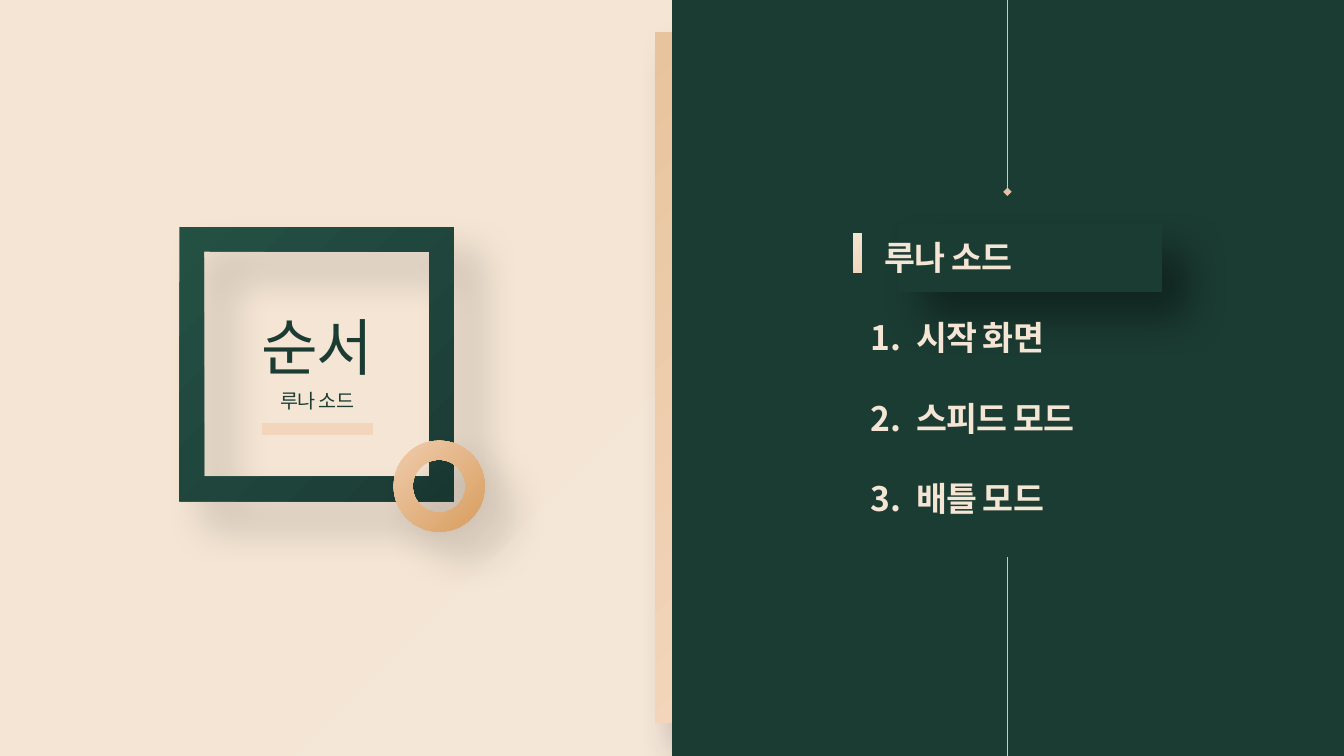
"""Build the contents slide with a framed title and a numbered list."""
from lxml.etree import SubElement
from pptx import Presentation
from pptx.dml.color import RGBColor
from pptx.enum.shapes import MSO_CONNECTOR, MSO_SHAPE
from pptx.enum.text import MSO_ANCHOR, MSO_AUTO_SIZE, PP_ALIGN
from pptx.oxml.ns import qn
from pptx.util import Pt

FONT = "Noto Sans CJK KR"
CREAM = RGBColor(0xF4, 0xE5, 0xD4)
PALE = RGBColor(0xF5, 0xE7, 0xD8)
SAND = RGBColor(0xE7, 0xC4, 0x9D)
PEACH = RGBColor(0xF3, 0xD5, 0xBB)
BLUSH = RGBColor(0xF0, 0xCC, 0xAC)
GOLD = RGBColor(0xD8, 0x9E, 0x5F)
ROSE = RGBColor(0xE4, 0xC2, 0xA9)
GREEN = RGBColor(0x1B, 0x3C, 0x33)
TEAL = RGBColor(0x1B, 0x3C, 0x35)
MOSS = RGBColor(0x24, 0x50, 0x44)


def blend(fill, root, start, end, focus):
    fill.gradient()
    for stop, tint in zip(fill.gradient_stops, (start, end)):
        stop.color.rgb = tint
    if not focus:
        fill.gradient_angle = 315
        return
    grad = root.find(".//" + qn("a:gradFill"))
    grad.remove(grad.find(qn("a:lin")))
    ring = SubElement(grad, qn("a:path"), path="circle")
    SubElement(ring, qn("a:fillToRect"), {side: "100000" for side in focus})


def style(par, size, tint, bold=False):
    for run in par.runs:
        font = run.font
        font.name, font.size, font.bold = FONT, Pt(size), bold
        font.color.rgb = tint
        props = font._element
        props.set("spc", "-60")
        SubElement(props, qn("a:ea"), typeface=FONT)


deck = Presentation()
deck.slide_width, deck.slide_height = Pt(960), Pt(540)
slide = deck.slides.add_slide(deck.slide_layouts[3])
shapes = slide.shapes
blend(slide.background.fill, slide._element, PALE, CREAM, "lt")

RECT = MSO_SHAPE.RECTANGLE
parts = [
    (RECT, 468, 23, 26.5, 493.2, SAND, PEACH, "", 40, None),
    (RECT, 480, 0, 480, 540, TEAL, GREEN, "lt", 0, None),
    (MSO_SHAPE.FRAME, 128.2, 162.2, 196, 196, MOSS, TEAL, "", 17, 0.09),
    (MSO_SHAPE.DONUT, 281.2, 314.8, 65, 65, BLUSH, GOLD, "", 17, 0.21),
    (RECT, 641.5, 159.8, 188.5, 48.8, GREEN, TEAL, "", 40, None),
    (RECT, 609.5, 166.5, 6.2, 28.5, CREAM, PEACH, "rb", 0, None),
]
for kind, left, top, width, height, start, end, focus, shade, thick in parts:
    shape = shapes.add_shape(kind, Pt(left), Pt(top), Pt(width), Pt(height))
    shape.line.fill.background()
    shape.shadow.inherit = False
    props = shape._element.spPr
    blend(shape.fill, props, start, end, focus)
    if thick:
        shape.adjustments[0] = thick
    if shade:
        glow = SubElement(props.find(qn("a:effectLst")), qn("a:outerShdw"),
                          blurRad=str(Pt(30)), dist=str(Pt(26)),
                          dir="2700000", algn="tl", rotWithShape="0")
        black = SubElement(glow, qn("a:srgbClr"), val="000000")
        SubElement(black, qn("a:alpha"), val=str(shade * 1000))

title, name, menu = slide.placeholders
title.text_frame.text = "순서"
name.text_frame.text = "루나 소드"
menu.text_frame.text = "루나 소드\n시작 화면\n스피드 모드\n배틀 모드"
boxes = [(title, 128.5, 219.5, 196.5, 45), (name, 128.5, 272, 196.5, 24.5),
         (menu, 614.6, 23, 232, 493.5)]
for box, left, top, width, height in boxes:
    box.left, box.top, box.width, box.height = map(Pt, (left, top, width, height))
    frame = box.text_frame
    frame.word_wrap = True
    frame.auto_size = MSO_AUTO_SIZE.NONE
    frame.vertical_anchor = MSO_ANCHOR.MIDDLE
    shapes._spTree.append(box._element)

for box, size in ((title, 44), (name, 14)):
    frame = box.text_frame
    frame.margin_left = frame.margin_right = 0
    frame.margin_top = frame.margin_bottom = 0
    par = frame.paragraphs[0]
    par.alignment = PP_ALIGN.CENTER
    par.line_spacing = 1.2
    par.space_before = Pt(0)
    props = par._p.get_or_add_pPr()
    props.set("marL", "0")
    props.set("indent", "0")
    SubElement(props, qn("a:buNone"))
    style(par, size, GREEN)

for rank, par in enumerate(menu.text_frame.paragraphs):
    par.space_before = Pt(28.5 if rank else 0)
    props = par._p.get_or_add_pPr()
    props.set("marL", str(Pt(32.5 if rank else 10)))
    props.set("indent", str(Pt(-32.5 if rank else 0)))
    if rank:
        SubElement(props, qn("a:buFont"), typeface="+mj-lt")
        SubElement(props, qn("a:buAutoNum"), type="arabicPeriod")
    else:
        SubElement(props, qn("a:buNone"))
    style(par, 24, CREAM, True)

lines = [(719.6, 0, 719.6, 137, 0.75, ROSE), (719.6, 398, 719.6, 540, 0.75, ROSE),
         (187, 306.5, 266.5, 306.5, 8, PEACH)]
for rank, (left, top, right, low, weight, tint) in enumerate(lines):
    line = shapes.add_connector(MSO_CONNECTOR.STRAIGHT,
                                Pt(left), Pt(top), Pt(right), Pt(low))
    line.line.color.rgb = tint
    line.line.width = Pt(weight)
    SubElement(line._element.spPr, qn("a:effectLst"))
    if rank == 0:
        SubElement(line.line._get_or_add_ln(), qn("a:tailEnd"), type="diamond")

deck.save("out.pptx")
